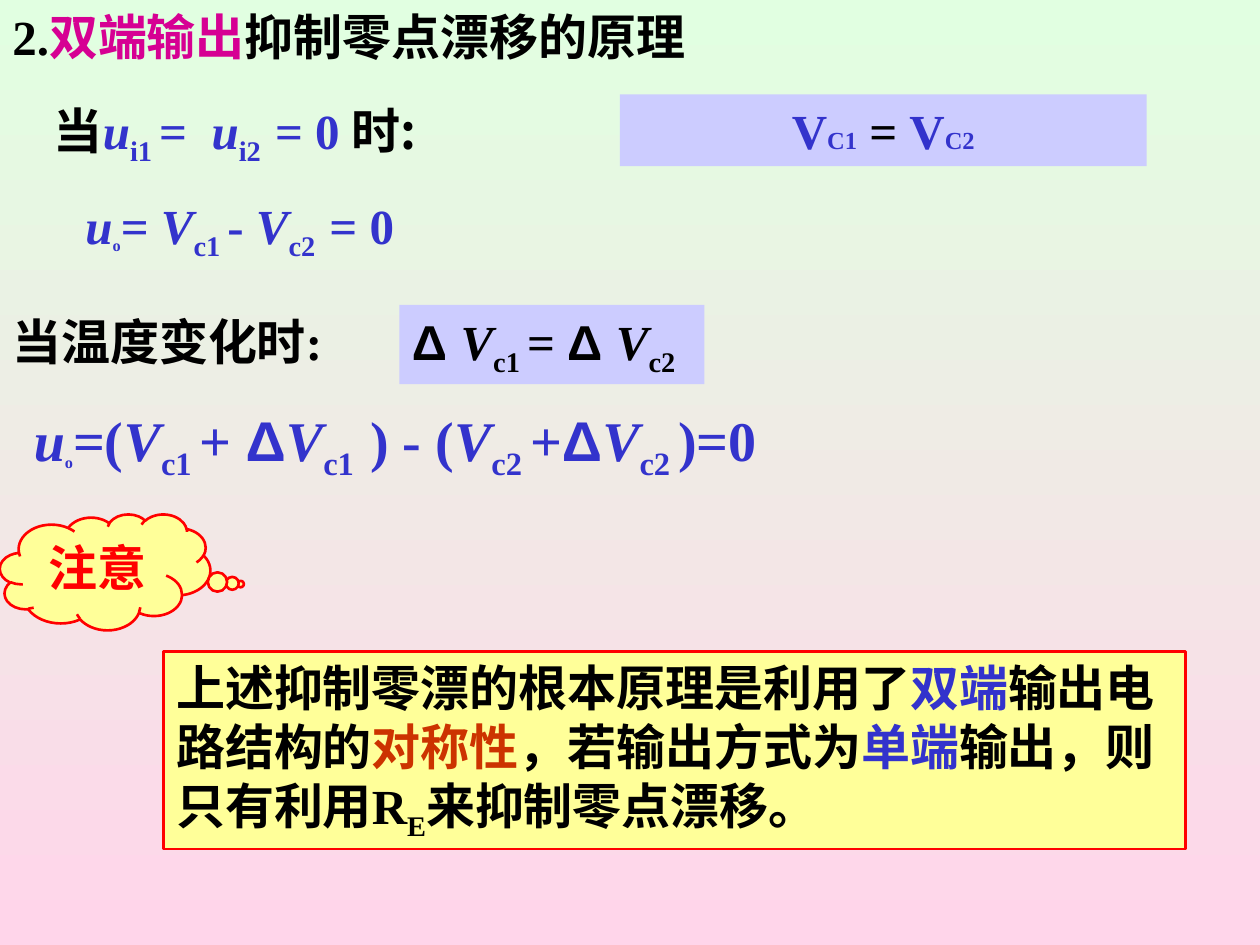
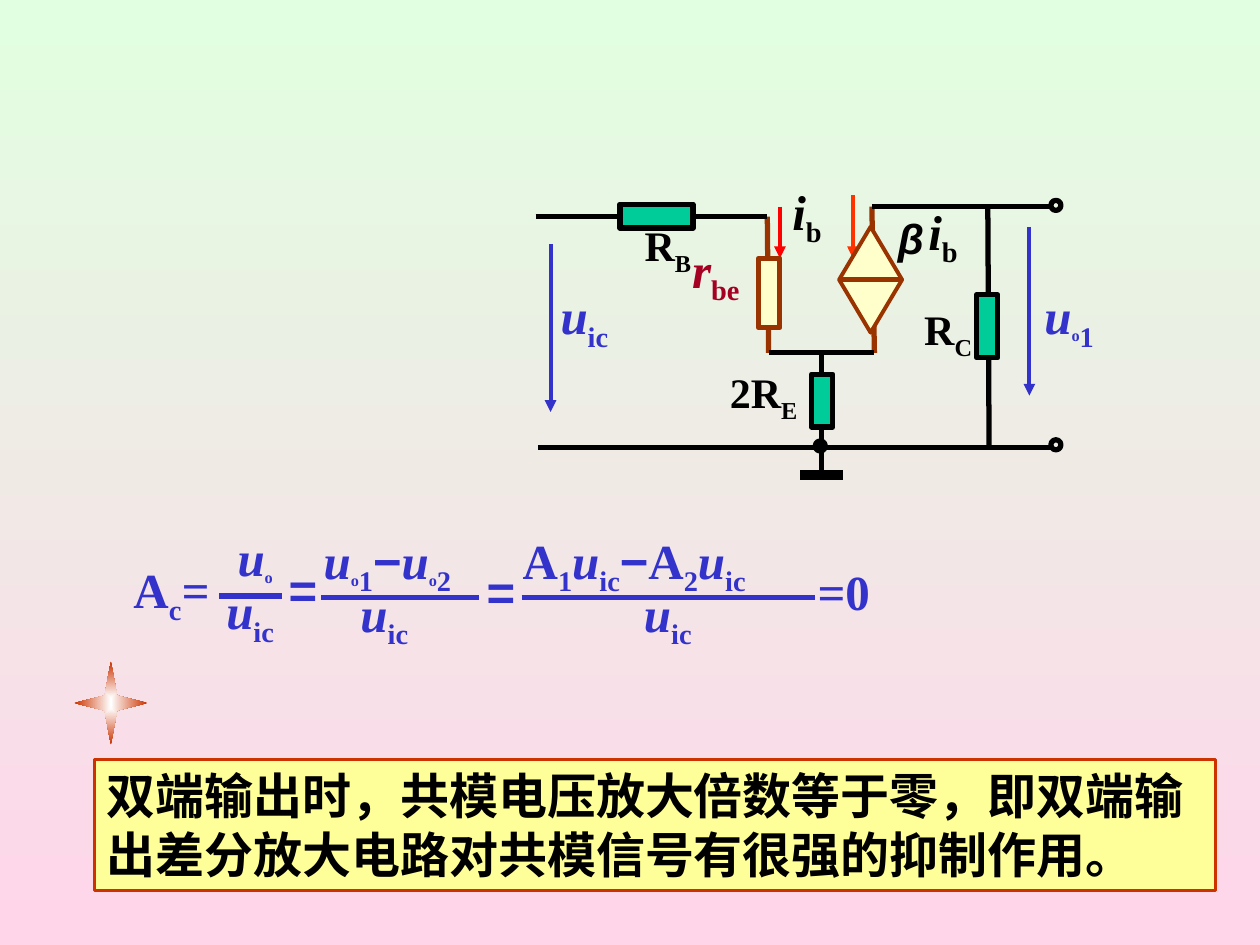
"""Builds two slides on zero drift and common-mode gain of a differential amplifier."""
from lxml import etree
from pptx import Presentation
from pptx.dml.color import RGBColor
from pptx.enum import shapes as sh, text as tx
from pptx.oxml.ns import qn
from pptx.util import Inches, Pt

BLUE, BLACK, RED, RUST, BROWN = "3333CC", "000000", "FF0000", "CC3300", "993300"
LILAC, YELLOW, CREAM, GREEN = "CCCCFF", "FFFF99", "FFFFCC", "00CC99"
SKY = ("E1FFE1", "FFD5EA")
SERIF, SANS, HAN = "Times New Roman", "Arial", "Noto Sans CJK SC"
BASE = {"name": SERIF, "bold": True, "italic": False}
FLAGS = {
    "i": {"italic": True},
    "a": {"name": SANS},
    "h": {"name": HAN},
    "s": {"size": Pt(16)},
    "t": {"size": Pt(14)},
}
LEFT, MID = tx.PP_ALIGN.LEFT, tx.PP_ALIGN.CENTER
KIND = sh.MSO_SHAPE

# Runs are (text, flags, colour); "_" in the flags means subscript.
UIC = [("u", "i"), ("ic", "_")]
UO = [("u", "i"), ("o", "_s")]
IB = [("i", "i"), ("b", "_")]

DRIFT = [
    ((0, 0, 5.71, .57), [("2.",), ("双端输出", "", "D60093"), ("抑制零点漂移的原理",)], {}),
    ((.58, 1.5, 3.29, .73),
     UO + [("= ",), ("V", "i"), ("c1 ", "_"), ("- ",), ("V", "i"), ("c2 ", "_"),
           (" ", "_"), ("= 0",)], {"tint": BLUE}),
    ((.17, 3.17, 6.87, .82),
     UO + [("=(",), ("V", "i"), ("c1 ", "_"), ("+ ",), ("Δ", "a"), ("V", "i"),
           ("c1 ", "_"), (" ", "_"), (") - (",), ("V", "i"), ("c2 ", "_"), ("+",),
           ("Δ", "a"), ("V", "i"), ("c2 ", "_"), (")=0",)], {"tint": BLUE, "size": 32}),
    ((.33, .75, 4.25, .73),
     [("当", "h", BLACK), ("u", "i"), ("i1 ", "_"), ("= ",), (" ",), ("u", "i"),
      ("i2 ", "_"), (" ", "_"), ("= 0 ",), ("时:", "h", BLACK)], {"tint": BLUE}),
    ((0, 2.42, 3.53, .57), [("当温度变化时:",)], {}),
]
PANELS = [
    (KIND.RECTANGLE, (4.92, .75, 4.18, .57), LILAC, None,
     [("V",), ("C1", "t"), (" ",), ("= ", "", BLACK), ("V",), ("C2", "t")],
     {"tint": BLUE, "align": MID}),
    (KIND.RECTANGLE, (3.17, 2.42, 2.42, .63), LILAC, None,
     [("Δ ", "a"), ("V", "i"), ("c1 ", "_"), ("= ",), ("Δ ", "a"), ("V", "i"),
      ("c2", "_")], {}),
    (KIND.CLOUD_CALLOUT, (0, 4.08, 1.67, .92), YELLOW, RED, [("注意",)],
     {"tint": RED, "align": MID}),
    (KIND.RECTANGLE, (1.3, 5.17, 8.11, 1.57), YELLOW, RED,
     [("上述抑制零漂的根本原理是利用了",), ("双端", "", BLUE), ("输出电路结构的",),
      ("对称性", "", RUST), ("，若输出方式为",), ("单端", "", BLUE),
      ("输出，则只有利用R",), ("E", "_"), ("来抑制零点漂移。",)], {}),
]

WIRES = [
    ((6.09, 1.72), (6.1, 2.8), BROWN), ((6.94, 2.8), (6.92, 1.64), BROWN),
    ((4.27, 3.55), (8.35, 3.55), BLACK), ((7.84, 1.64), (7.85, 3.55), BLACK),
    ((4.25, 1.72), (6.09, 1.72), BLACK), ((6.92, 1.64), (8.34, 1.64), BLACK),
    ((6.1, 2.8), (6.94, 2.8), BLACK), ((6.52, 2.8), (6.52, 3.77), BLACK),
]
ARROWS = [
    ((6.19, 1.64), (6.19, 2.05), RED), ((6.77, 1.55), (6.77, 2.05), "FF3300"),
    ((4.37, 1.94), (4.37, 3.27), BLUE), ((8.17, 1.8), (8.17, 3.14), BLUE),
]
PARTS = [
    (KIND.RECTANGLE, (4.92, 1.62, .58, .19), GREEN, BLACK),
    (KIND.RECTANGLE, (6.02, 2.05, .17, .55), CREAM, BROWN),
    (KIND.RECTANGLE, (7.75, 2.34, .17, .5), GREEN, BLACK),
    (KIND.RECTANGLE, (6.44, 2.97, .17, .42), GREEN, BLACK),
    (KIND.OVAL, (6.47, 3.5, .08, .08), BLACK, BLACK),
    (KIND.OVAL, (8.34, 1.59, .08, .08), None, BLACK),
    (KIND.OVAL, (8.34, 3.49, .08, .08), None, BLACK),
]
SOURCE = [(6.91, 1.8), (6.66, 2.22), (6.91, 2.64), (7.16, 2.22)]
NAME = {"size": 24, "align": MID, "middle": True}
LABELS = [
    ((5.27, 1.85, .92, .63), [("r", "i"), ("be", "_"), (" ", "i")],
     {"tint": "A50021", "align": MID, "middle": True}),
    ((6.94, 1.64, .58, .5), [("β", "ai")], NAME),
    ((7.17, 2.36, .71, .56), [("R",), ("C", "_")], NAME),
    ((4.84, 1.69, .92, .56), [("R",), ("B", "_")], NAME),
    ((5.6, 2.86, .92, .56), [("2R",), ("E", "_")], NAME),
    ((4.35, 2.22, .58, .63), UIC, {"tint": BLUE, "wrap": False}),
    ((8.19, 2.22, .59, .63), UO + [("1", "_")], {"tint": BLUE, "wrap": False}),
    ((6.19, 1.39, .83, .63), IB, {}),
    ((7.27, 1.55, .83, .63), IB, {}),
]
GAIN = [
    ((.9, 4.39, .92, .63), [("A",), ("c", "_"), ("=", "i")], MID),
    ((1.65, 4.14, .75, .57), UO, MID),
    ((1.57, 4.56, .83, .63), UIC, MID),
    ((2.07, 4.39, .67, .57), [("=", "a")], MID),
    ((2.47, 4.16, 1.5, .63), UO + [("1", "_"), ("−", "a")] + UO + [("2", "_")], LEFT),
    ((2.55, 4.58, 1, .63), UIC, MID),
    ((3.64, 4.41, .67, .57), [("=", "a")], MID),
    ((4.05, 4.16, 2.58, .63),
     [("A",), ("1", "_")] + UIC + [("−", "a"), ("A",), ("2", "_")] + UIC, LEFT),
    ((4.8, 4.58, 1, .63), UIC, MID),
    ((6.39, 4.41, .75, .57), [("=0",)], LEFT),
]
BARS = [(1.74, 2.24, 4.73), (2.55, 3.8, 4.74), (4.14, 6.47, 4.74)]
STAR = {"mid": (.88, 5.58), "tip": (.29, .33), "notch": (.05, .06)}
CLAIM = "双端输出时，共模电压放大倍数等于零，即双端输出差分放大电路对共模信号有很强的抑制作用。"


def rgb(code):
    """Turn a hex string into a colour."""
    return RGBColor.from_string(code)


def inch(vals):
    """Convert numbers to lengths."""
    return [Inches(v) for v in vals]


def write(frame, runs, size=28, tint=BLACK, align=LEFT, middle=False, wrap=True):
    """Fill a text frame with one paragraph of styled runs."""
    frame.word_wrap = wrap
    frame.vertical_anchor = tx.MSO_ANCHOR.MIDDLE if middle else tx.MSO_ANCHOR.TOP
    para = frame.paragraphs[0]
    para.alignment = align
    for words, *rest in runs:
        flags = rest[0] if rest else ""
        run = para.add_run()
        run.text = words
        form = {**BASE, "size": Pt(size)}
        for flag in flags.replace("_", ""):
            form.update(FLAGS[flag])
        for key, val in form.items():
            setattr(run.font, key, val)
        run.font.color.rgb = rgb(rest[1] if len(rest) > 1 else tint)
        props = run._r.get_or_add_rPr()
        etree.SubElement(props, qn("a:ea"), typeface=HAN)
        if "_" in flags:
            props.set("baseline", "-25000")


def label(pool, at, runs, **form):
    """Add a text box."""
    write(pool.add_textbox(*inch(at)).text_frame, runs, **form)


def paint(shape, fill, line, width):
    """Set a shape's fill and outline and drop its shadow."""
    shape.shadow.inherit = False
    for part, code in ((shape.fill, fill), (shape.line.fill, line)):
        if code:
            part.solid()
            part.fore_color.rgb = rgb(code)
        else:
            part.background()
    if line:
        shape.line.width = Pt(width)
    return shape


def block(pool, kind, at, fill, line, width=3):
    """Add a preset shape."""
    return paint(pool.add_shape(kind, *inch(at)), fill, line, width)


def wire(pool, start, end, tint, width=3, head=False):
    """Add a straight line, with an arrowhead if asked."""
    link = pool.add_connector(sh.MSO_CONNECTOR.STRAIGHT, *inch(start + end))
    link.line.color.rgb = rgb(tint)
    link.line.width = Pt(width)
    if head:
        etree.SubElement(link.line._get_or_add_ln(), qn("a:tailEnd"), type="triangle")
    etree.SubElement(link._element.spPr, qn("a:effectLst"))


def outline(pool, dots):
    """Add a closed polygon."""
    first, *rest = [inch(dot) for dot in dots]
    pen = pool.build_freeform(*first)
    pen.add_line_segments(rest, close=True)
    return pen.convert_to_shape()


def blend(fill, codes):
    """Give a fill a gradient of two colours."""
    fill.gradient()
    for stop, code, place in zip(fill.gradient_stops, codes, (0, 1)):
        stop.color.rgb = rgb(code)
        stop.position = place


def page(deck):
    """Add a blank slide with the shared background."""
    slide = deck.slides.add_slide(deck.slide_layouts[6])
    fill = slide.background.fill
    blend(fill, SKY)
    fill.gradient_angle = 270
    return slide.shapes


def star(pool):
    """Draw the four-pointed star that glows from its centre."""
    (x, y), (w, h), (a, b) = STAR["mid"], STAR["tip"], STAR["notch"]
    dots = [(x - w, y), (x - a, y - b), (x, y - h), (x + a, y - b),
            (x + w, y), (x + a, y + b), (x, y + h), (x - a, y + b)]
    shape = paint(outline(pool, dots), None, None, 0)
    blend(shape.fill, ("FFFFFF", RUST))
    grad = shape._element.spPr.find(qn("a:gradFill"))
    grad.remove(grad.find(qn("a:lin")))
    glow = etree.SubElement(grad, qn("a:path"), {"path": "rect"})
    etree.SubElement(glow, qn("a:fillToRect"), dict.fromkeys("ltrb", "50000"))


def drift(deck):
    """Build the slide on how zero drift is held down."""
    pool = page(deck)
    for at, runs, form in DRIFT:
        label(pool, at, runs, **form)
    for kind, at, fill, line, runs, form in PANELS:
        shape = block(pool, kind, at, fill, line, 1.5)
        if kind == KIND.CLOUD_CALLOUT:
            shape.adjustments[0], shape.adjustments[1] = .644, .104
        write(shape.text_frame, runs, **form)


def circuit(pool):
    """Draw the common-mode equivalent circuit."""
    for start, end, tint in WIRES:
        wire(pool, start, end, tint)
    for start, end, tint in ARROWS:
        wire(pool, start, end, tint, 2.25, True)
    for part in PARTS:
        block(pool, *part)
    paint(outline(pool, SOURCE), CREAM, BROWN, 2.25)
    wire(pool, SOURCE[1], SOURCE[3], BROWN)
    wire(pool, (6.35, 3.77), (6.69, 3.77), BLACK, 6)
    for at, runs, form in LABELS:
        label(pool, at, runs, **form)


def gain(pool):
    """Set the common-mode gain formula."""
    for at, runs, align in GAIN:
        label(pool, at, runs, tint=BLUE, align=align)
    for left, right, y in BARS:
        wire(pool, (left, y), (right, y), BLUE)


def common(deck):
    """Build the slide on common-mode gain."""
    pool = page(deck)
    circuit(pool.add_group_shape().shapes)
    gain(pool.add_group_shape().shapes)
    star(pool)
    note = block(pool, KIND.RECTANGLE, (.75, 6.03, 8.9, 1.04), YELLOW, RUST, 1.5)
    write(note.text_frame, [(CLAIM,)])


def main():
    """Build and save the deck."""
    deck = Presentation()
    deck.slide_width, deck.slide_height = inch((10, 7.5))
    drift(deck)
    common(deck)
    deck.save("out.pptx")


if __name__ == "__main__":
    main()
